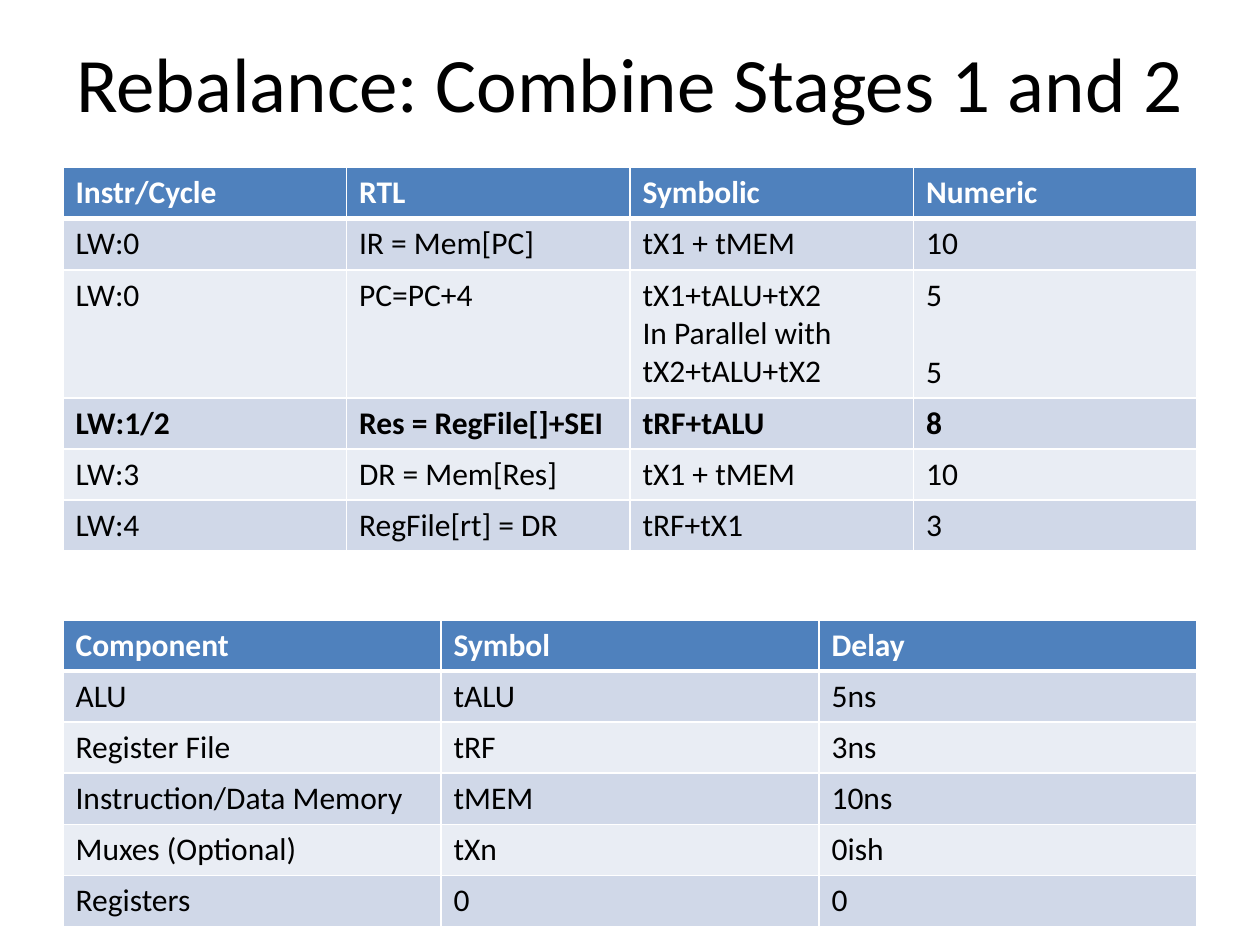
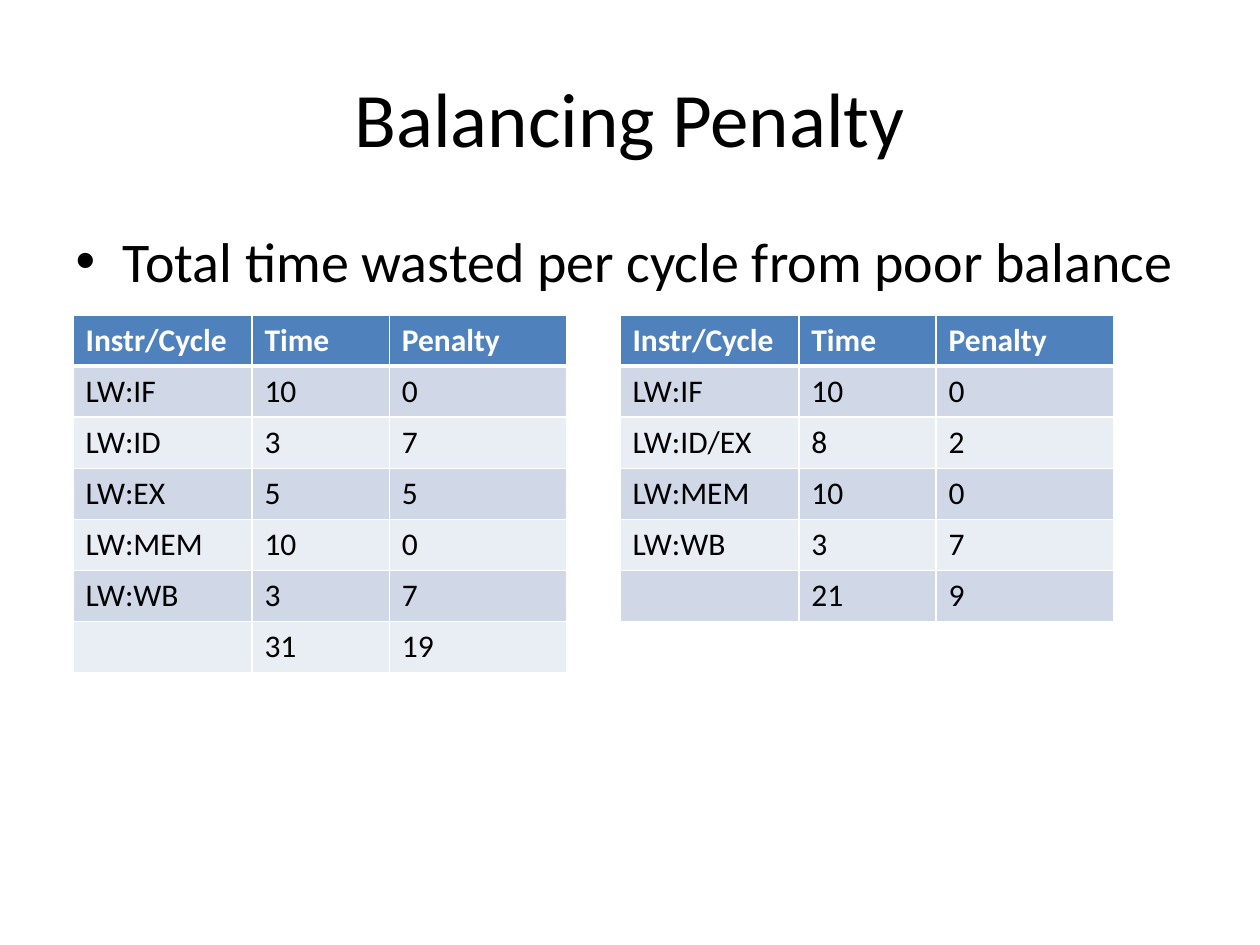
from dataclasses import dataclass

from lxml import etree
from pptx import Presentation
from pptx.dml.color import RGBColor
from pptx.enum.text import MSO_ANCHOR, PP_ALIGN
from pptx.oxml.ns import qn
from pptx.util import Inches, Pt

CENTER = PP_ALIGN.CENTER
MIDDLE = MSO_ANCHOR.MIDDLE
TITLE_AND_CONTENT, TITLE_ONLY = 1, 5


@dataclass(frozen=True)
class Theme:
    font: str = "Calibri"
    ink: str = "000000"
    paper: str = "FFFFFF"
    header: str = "4F81BD"
    bands: tuple[str, str] = ("D0D8E8", "E9EDF4")
    title_size: int = 44
    bullet_size: int = 32
    cell_size: int = 18
    line_height: int = 22
    rule: int = 1
    header_rule: int = 3


THEME = Theme()
ROW_HEIGHT = Inches(2.43) // 6


@dataclass(frozen=True)
class Grid:
    left: float
    top: float
    columns: tuple[float, ...]
    rows: tuple[tuple[str, ...], ...]
    bold_row: int = 0


STAGE_DELAYS = Grid(0.5, 1.33, (2.25,) * 4, (
    ("Instr/Cycle", "RTL", "Symbolic", "Numeric"),
    ("LW:0", "IR = Mem[PC]", "tX1 + tMEM", "10"),
    ("LW:0", "PC=PC+4", "tX1+tALU+tX2\nIn Parallel with\ntX2+tALU+tX2", "5\n\n5"),
    ("LW:1/2", "Res = RegFile[]+SEI", "tRF+tALU", "8"),
    ("LW:3", "DR = Mem[Res]", "tX1 + tMEM", "10"),
    ("LW:4", "RegFile[rt] = DR", "tRF+tX1", "3"),
), bold_row=3)

COMPONENT_DELAYS = Grid(0.5, 4.92, (3,) * 3, (
    ("Component", "Symbol", "Delay"),
    ("ALU", "tALU", "5ns"),
    ("Register File", "tRF", "3ns"),
    ("Instruction/Data Memory", "tMEM", "10ns"),
    ("Muxes (Optional)", "tXn", "0ish"),
    ("Registers", "0", "0"),
))

PENALTY_HEADER = ("Instr/Cycle", "Time", "Penalty")
PENALTY_COLUMNS = (1.42, 1.09, 1.41)

FIVE_STAGE_PENALTY = Grid(0.58, 2.5, PENALTY_COLUMNS, (
    PENALTY_HEADER,
    ("LW:IF", "10", "0"),
    ("LW:ID", "3", "7"),
    ("LW:EX", "5", "5"),
    ("LW:MEM", "10", "0"),
    ("LW:WB", "3", "7"),
    ("", "31", "19"),
))

FOUR_STAGE_PENALTY = Grid(4.92, 2.5, PENALTY_COLUMNS, (
    PENALTY_HEADER,
    ("LW:IF", "10", "0"),
    ("LW:ID/EX", "8", "2"),
    ("LW:MEM", "10", "0"),
    ("LW:WB", "3", "7"),
    ("", "21", "9"),
))


def add_run(paragraph, text: str, size: int, color: str, bold: bool = False) -> None:
    run = paragraph.add_run()
    run.text = text
    run.font.name = THEME.font
    run.font.size = Pt(size)
    run.font.bold = bold
    run.font.color.rgb = RGBColor.from_string(color)


def place(placeholder, top: float, height: float) -> None:
    placeholder.left, placeholder.top = Inches(0.5), Inches(top)
    placeholder.width, placeholder.height = Inches(9), Inches(height)


def add_title(slide, text: str, top: float) -> None:
    title = slide.shapes.title
    place(title, top, 1.25)
    title.text_frame.vertical_anchor = MIDDLE
    heading = title.text_frame.paragraphs[0]
    heading.alignment = CENTER
    add_run(heading, text, THEME.title_size, THEME.ink)


def add_bullet(slide, text: str) -> None:
    body = slide.placeholders[1]
    place(body, 1.75, 4.95)
    point = body.text_frame.paragraphs[0]
    point.space_before = Pt(0)
    add_run(point, text, THEME.bullet_size, THEME.ink)


def set_borders(cell, row: int) -> None:
    widths = {
        "a:lnL": THEME.rule,
        "a:lnR": THEME.rule,
        "a:lnT": THEME.header_rule if row == 1 else THEME.rule,
        "a:lnB": THEME.header_rule if row == 0 else THEME.rule,
    }
    properties = cell._tc.get_or_add_tcPr()
    for side, width in widths.items():
        line = etree.SubElement(properties, qn(side), w=str(Pt(width)))
        fill = etree.SubElement(line, qn("a:solidFill"))
        etree.SubElement(fill, qn("a:srgbClr"), val=THEME.paper)


def write_cell(cell, text: str, color: str, bold: bool) -> None:
    frame = cell.text_frame
    paragraph = frame.paragraphs[0]
    paragraph.font.size = Pt(THEME.cell_size)
    skipped = 0
    for number, line in enumerate(text.split("\n")):
        if not line:
            skipped += 1
            continue
        if number:
            paragraph = frame.add_paragraph()
            paragraph.space_before = Pt(skipped * THEME.line_height)
        add_run(paragraph, line, THEME.cell_size, color, bold)
        skipped = 0


def add_grid(slide, grid: Grid) -> None:
    frame = slide.shapes.add_table(
        len(grid.rows), len(grid.columns), Inches(grid.left), Inches(grid.top),
        Inches(sum(grid.columns)), ROW_HEIGHT * len(grid.rows))
    table = frame.table
    for column, width in zip(table.columns, grid.columns):
        column.width = Inches(width)
    for r, texts in enumerate(grid.rows):
        extra_lines = max(text.count("\n") for text in texts)
        table.rows[r].height = ROW_HEIGHT + extra_lines * Pt(THEME.line_height)
        fill = THEME.bands[(r - 1) % 2] if r else THEME.header
        color = THEME.ink if r else THEME.paper
        for c, text in enumerate(texts):
            cell = table.cell(r, c)
            set_borders(cell, r)
            cell.fill.solid()
            cell.fill.fore_color.rgb = RGBColor.from_string(fill)
            write_cell(cell, text, color, r in (0, grid.bold_row))
    frame.height = sum(row.height for row in table.rows)


def main() -> None:
    deck = Presentation()
    deck.slide_width, deck.slide_height = Inches(10), Inches(7.5)

    rebalance = deck.slides.add_slide(deck.slide_layouts[TITLE_ONLY])
    add_title(rebalance, "Rebalance: Combine Stages 1 and 2", 0.02)
    add_grid(rebalance, STAGE_DELAYS)
    add_grid(rebalance, COMPONENT_DELAYS)

    penalty = deck.slides.add_slide(deck.slide_layouts[TITLE_AND_CONTENT])
    add_title(penalty, "Balancing Penalty", 0.3)
    add_bullet(penalty, "Total time wasted per cycle from poor balance")
    add_grid(penalty, FIVE_STAGE_PENALTY)
    add_grid(penalty, FOUR_STAGE_PENALTY)

    deck.save("out.pptx")


if __name__ == "__main__":
    main()
